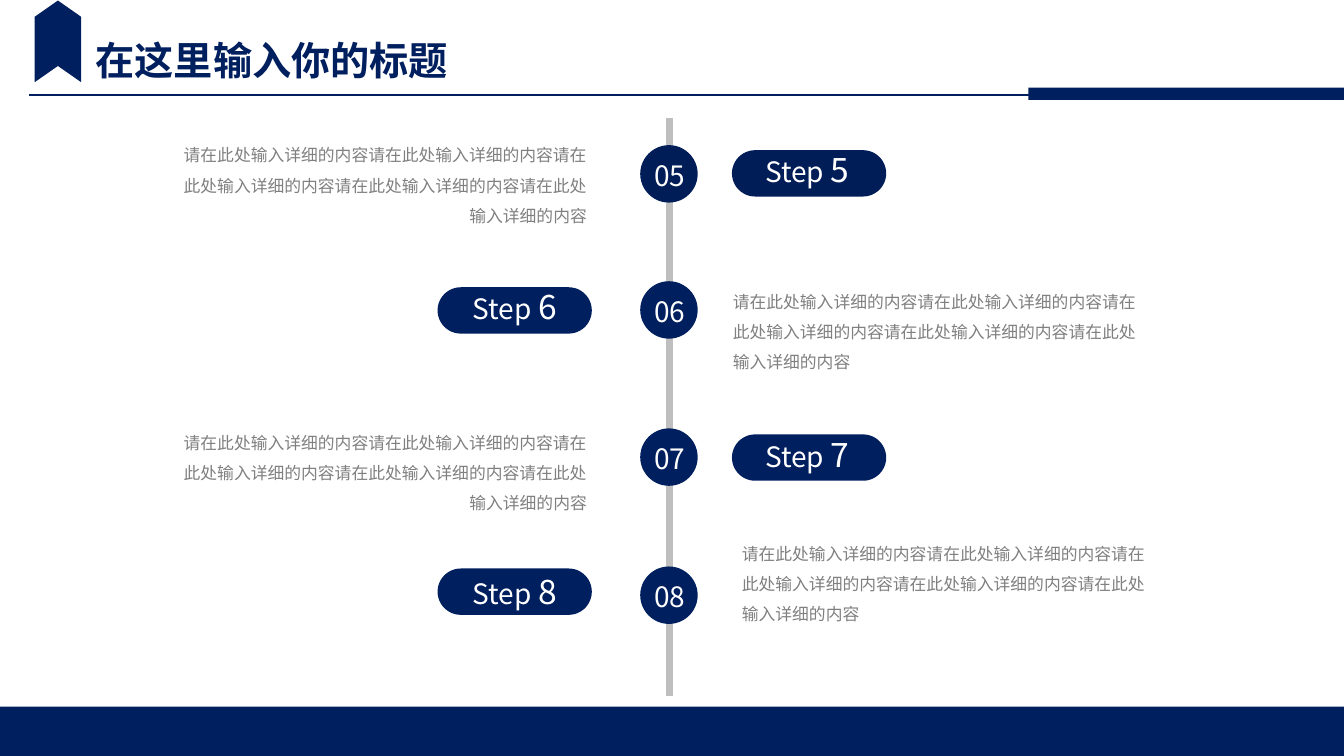
from lxml.etree import SubElement
from pptx import Presentation
from pptx.dml.color import RGBColor
from pptx.enum.shapes import MSO_CONNECTOR, MSO_SHAPE
from pptx.enum.text import MSO_AUTO_SIZE, PP_ALIGN
from pptx.oxml.ns import qn
from pptx.util import Inches, Pt

FONT = "Noto Sans CJK SC"
NAVY, DARK_NAVY, GREY, TEXT_GREY, WHITE = "001F5E", "001D58", "BFBFBF", "808080", "FFFFFF"
DETAIL = "请在此处输入详细的内容" * 5
PILL_LEFT = {"left": 4.34, "right": 7.26}
LABEL_LEFT = {"left": 4.59, "right": 7.49}
STEPS = [
    {"number": 5, "top": 1.44, "pill": 1.49, "label": 1.43, "detail": (1.69, 1.29),
     "side": "right", "color": DARK_NAVY},
    {"number": 6, "top": 2.79, "pill": 2.85, "label": 2.79, "detail": (7.17, 2.74),
     "side": "left", "color": NAVY},
    {"number": 7, "top": 4.25, "pill": 4.31, "label": 4.26, "detail": (1.69, 4.14),
     "side": "right", "color": NAVY},
    {"number": 8, "top": 5.62, "pill": 5.64, "label": 5.61, "detail": (7.26, 5.24),
     "side": "left", "color": NAVY},
]


def rgb(value):
    return RGBColor.from_string(value)


def add_block(page, kind, box, color, adjustment=None):
    shape = page.shapes.add_shape(kind, *map(Inches, box))
    shape.shadow.inherit = False
    shape.fill.solid()
    shape.fill.fore_color.rgb = rgb(color)
    shape.line.fill.background()
    if adjustment is not None:
        shape.adjustments[0] = adjustment
    return shape


def add_rule(page, start, end, color, width):
    rule = page.shapes.add_connector(MSO_CONNECTOR.STRAIGHT, *map(Inches, start + end))
    rule.line.color.rgb = rgb(color)
    rule.line.width = Pt(width)
    SubElement(rule.element.spPr, qn("a:effectLst"))


def add_text(page, box, spans, color, bold=False, wrap=True, **paragraph_format):
    frame = page.shapes.add_textbox(*map(Inches, box)).text_frame
    frame.word_wrap = wrap
    frame.auto_size = MSO_AUTO_SIZE.SHAPE_TO_FIT_TEXT
    para = frame.paragraphs[0]
    for name, value in paragraph_format.items():
        setattr(para, name, value)
    for words, size in spans:
        span = para.add_run()
        span.text = words
        for name, value in {"size": Pt(size), "bold": bold, "name": FONT}.items():
            setattr(span.font, name, value)
        span.font.color.rgb = rgb(color)
        SubElement(span._r.get_or_add_rPr(), qn("a:ea")).set("typeface", FONT)


def add_header(page, left, top, width):
    add_rule(page, (left + 0.29, top + 0.94), (left + 11.52, top + 0.94), NAVY, 1.5)
    add_block(page, MSO_SHAPE.RECTANGLE, (left + width - 3.13, top + 0.87, 3.13, 0.12), NAVY)
    add_text(page, (left + 0.85, top + 0.31, 3.74, 0.57), [("在这里输入你的标题", 28)],
             NAVY, bold=True, wrap=False)
    ribbon = add_block(page, MSO_SHAPE.CHEVRON, (left + 0.17, top + 0.18, 0.81, 0.46), NAVY, 0.35)
    ribbon.rotation = 270


def add_footer(page, left, top, width, height):
    add_block(page, MSO_SHAPE.RECTANGLE, (left, top, width, height), NAVY)


def add_step(page, axis, step):
    side, color, top = step["side"], step["color"], step["top"]
    add_block(page, MSO_SHAPE.ROUNDED_RECTANGLE,
              (PILL_LEFT[side], step["pill"], 1.53, 0.46), color, 0.5)
    add_text(page, (LABEL_LEFT[side], step["label"], 1.07, 0.5),
             [("Step ", 20), (str(step["number"]), 24)], WHITE)
    add_block(page, MSO_SHAPE.OVAL, (axis - 0.29, top, 0.57, 0.57), color)
    add_text(page, (axis - 0.25, top + 0.08, 0.53, 0.44), [(f"{step['number']:02d}", 20)], WHITE)
    alignment = PP_ALIGN.RIGHT if side == "right" else PP_ALIGN.LEFT
    add_text(page, (*step["detail"], 4.23, 1.01), [(DETAIL, 12)], TEXT_GREY,
             alignment=alignment, line_spacing=1.5)


def add_timeline(page, axis, top, bottom):
    add_rule(page, (axis, top), (axis, bottom), GREY, 5)
    for step in STEPS:
        add_step(page, axis, step)


def main():
    deck = Presentation()
    deck.slide_width, deck.slide_height = Inches(13.33), Inches(7.5)
    page = deck.slides.add_slide(deck.slide_layouts[6])
    add_footer(page, 0, 7.01, 13.33, 0.49)
    add_header(page, 0, 0, 13.33)
    add_timeline(page, 6.64, 1.17, 6.9)
    deck.save("out.pptx")


if __name__ == "__main__":
    main()
